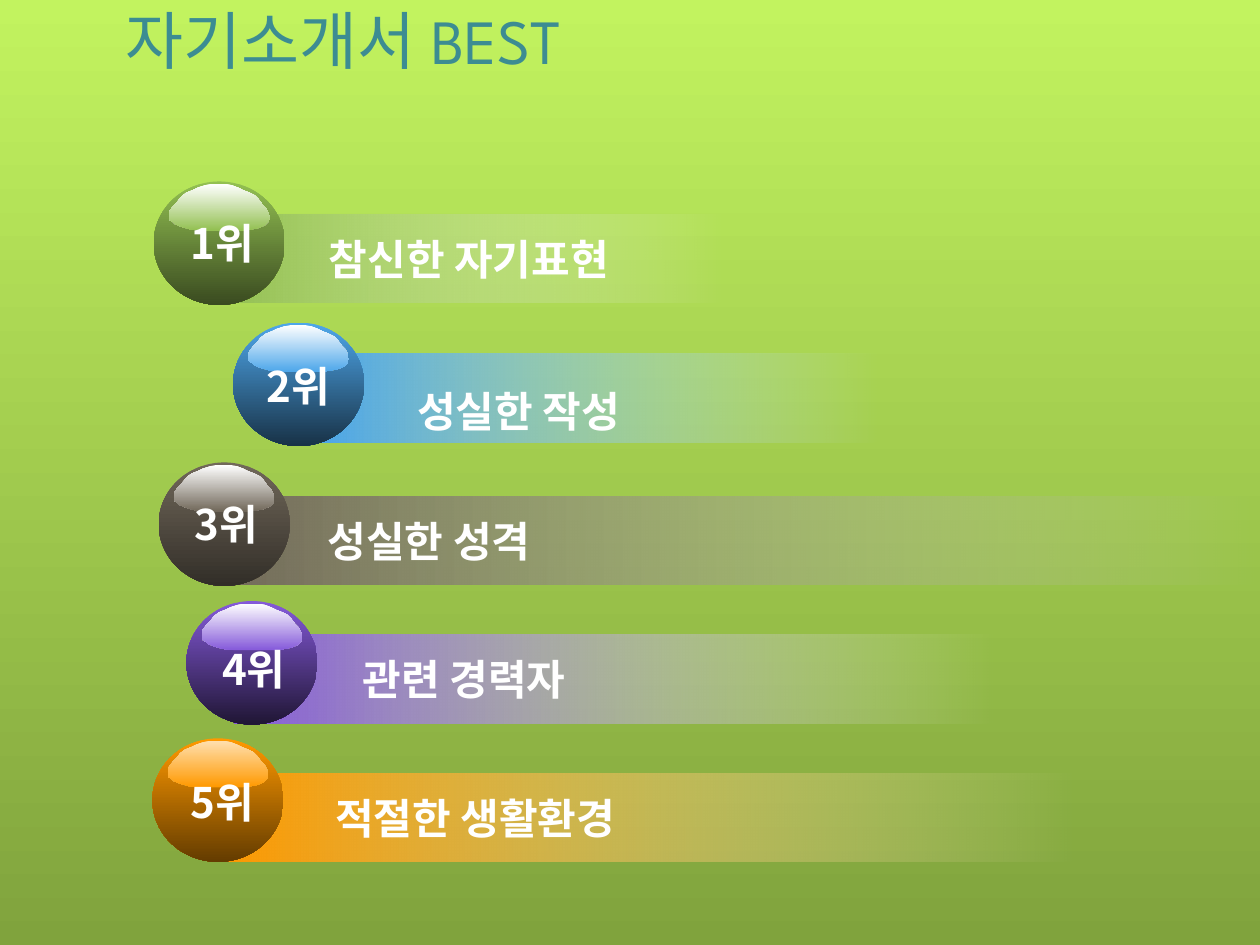
from lxml import etree
from pptx import Presentation
from pptx.dml.color import RGBColor
from pptx.enum.shapes import MSO_SHAPE
from pptx.enum.text import MSO_ANCHOR, PP_ALIGN
from pptx.oxml.ns import qn
from pptx.util import Inches, Pt

RECT, OVAL = MSO_SHAPE.RECTANGLE, MSO_SHAPE.OVAL
LEFT, CENTER = PP_ALIGN.LEFT, PP_ALIGN.CENTER
TOP, MIDDLE, BOTTOM = MSO_ANCHOR.TOP, MSO_ANCHOR.MIDDLE, MSO_ANCHOR.BOTTOM

BODY, HEAD = "Noto Sans CJK KR", "League Spartan"
COLORS = {
    "sky": "C2F35F", "ground": "80A33D", "title": "3C8C92", "white": "FFFFFF",
    "green": "93C052", "green dark": "3A4B20", "green pale": "ECF4E0",
    "blue": "4EA7EA", "blue dark": "183247", "blue pale": "D4EAFA",
    "brown": "71685A", "brown dark": "322E28", "brown pale": "D2CFCB",
    "violet": "855ADA", "violet dark": "201635", "violet pale": "FFFFFF",
    "orange": "FF9900", "orange dark": "643C00", "orange pale": "FFEDD1",
    "peach": "FFDFAE",
}
TITLE = "자기소개서 BEST"
# rank, text, hue, shine, bar (left, top, width), orb (left, top),
# label (left, top), left edge of the text, drop of the text
RANKS = [
    ("1위", "참신한 자기표현", "green", "white", (1.74, 1.7, 4), (1.22, 1.44), (1.37, 1.68), 2.61, 0),
    ("2위", "성실한 작성", "blue", "white", (2.56, 2.81, 4.42), (1.85, 2.56), (1.97, 2.81), 3.31, 0.1),
    ("3위", "성실한 성격", "brown", "white", (1.67, 3.94, 8.33), (1.26, 3.67), (1.4, 3.91), 2.6, 0),
    ("4위", "관련 경력자", "violet", "white", (1.86, 5.04, 6.05), (1.48, 4.77), (1.62, 5.06), 2.88, 0),
    ("5위", "적절한 생활환경", "orange", "peach", (1.74, 6.14, 6.81), (1.21, 5.86), (1.37, 6.11), 2.66, 0),
]
BAR_H, ORB_W, ORB_H = 0.7, 1.04, 0.98
# Outline of the shine on an orb, in hundredths of an inch
SHINE = [
    (1, 21), (0, 24), (0, 27), (1, 29), (3, 30), (5, 32), (10, 34), (17, 36),
    (26, 37), (32, 37), (51, 37), (59, 37), (66, 36), (71, 35), (76, 33),
    (79, 30), (80, 27), (79, 23), (77, 19), (74, 16), (71, 12), (68, 9),
    (64, 7), (59, 5), (55, 3), (50, 1), (45, 0), (40, 0), (34, 0), (29, 1),
    (23, 3), (19, 5), (14, 7), (10, 10), (7, 14), (4, 17),
]


def color(name):
    return RGBColor.from_string(COLORS[name])


def blend(fill, first, last, angle=270):
    fill.gradient()
    fill.gradient_angle = angle
    for stop, name, pos in zip(fill.gradient_stops, (first, last), (0, 1)):
        stop.color.rgb = color(name)
        stop.position = pos


def paint(shape, first, last, angle=270):
    blend(shape.fill, first, last, angle)
    shape.line.fill.background()
    shape.shadow.inherit = False


def fade(shape):
    """Make the last gradient stop fully clear."""
    stop = shape._element.spPr.findall(".//" + qn("a:srgbClr"))[-1]
    etree.SubElement(stop, qn("a:alpha")).set("val", "0")


def write(shape, text, size=24, font=BODY, ink="white", bold=True,
          align=LEFT, anchor=MIDDLE, wrap=True, inset=0.1, drop=0):
    frame = shape.text_frame
    frame.word_wrap = wrap
    frame.vertical_anchor = anchor
    frame.margin_left = Inches(inset)
    frame.margin_top = Inches(0.05 + 2 * drop)
    para = frame.paragraphs[0]
    para.alignment = align
    run = para.add_run()
    run.text = text
    run.font.size, run.font.bold = Pt(size), bold
    run.font.name = font
    run.font.color.rgb = color(ink)
    east = etree.SubElement(run.font._element, qn("a:ea"))
    east.set("typeface", font)


def add_orb(shapes, left, top, hue, shine):
    group = shapes.add_group_shape().shapes
    ball = group.add_shape(OVAL, Inches(left), Inches(top), Inches(ORB_W), Inches(ORB_H))
    paint(ball, hue, hue + " dark")
    dots = [(Inches(left + 0.12 + x / 100), Inches(top + 0.02 + y / 100)) for x, y in SHINE]
    path = group.build_freeform(*dots[0])
    path.add_line_segments(dots[1:], close=True)
    paint(path.convert_to_shape(), shine, hue)


deck = Presentation()
deck.slide_width, deck.slide_height = Inches(10), Inches(7.5)
slide = deck.slides.add_slide(deck.slide_layouts[6])
shapes = slide.shapes
blend(slide.background.fill, "sky", "ground")

head = shapes.add_textbox(Inches(0.9), Inches(0.13), Inches(7.75), Inches(0.53))
write(head, TITLE, size=36, font=HEAD, ink="title", bold=False, anchor=BOTTOM)

for rank, text, hue, shine, (left, top, width), orb, spot, edge, drop in RANKS:
    bar = shapes.add_shape(RECT, Inches(left), Inches(top), Inches(width), Inches(BAR_H))
    paint(bar, hue, hue + " pale", angle=0)
    fade(bar)
    write(bar, text, inset=edge - left, drop=drop)
    add_orb(shapes, *orb, hue, shine)
    label = shapes.add_textbox(Inches(spot[0]), Inches(spot[1]), Inches(0.79), Inches(0.5))
    write(label, rank, align=CENTER, anchor=TOP, wrap=False)

deck.save("out.pptx")
